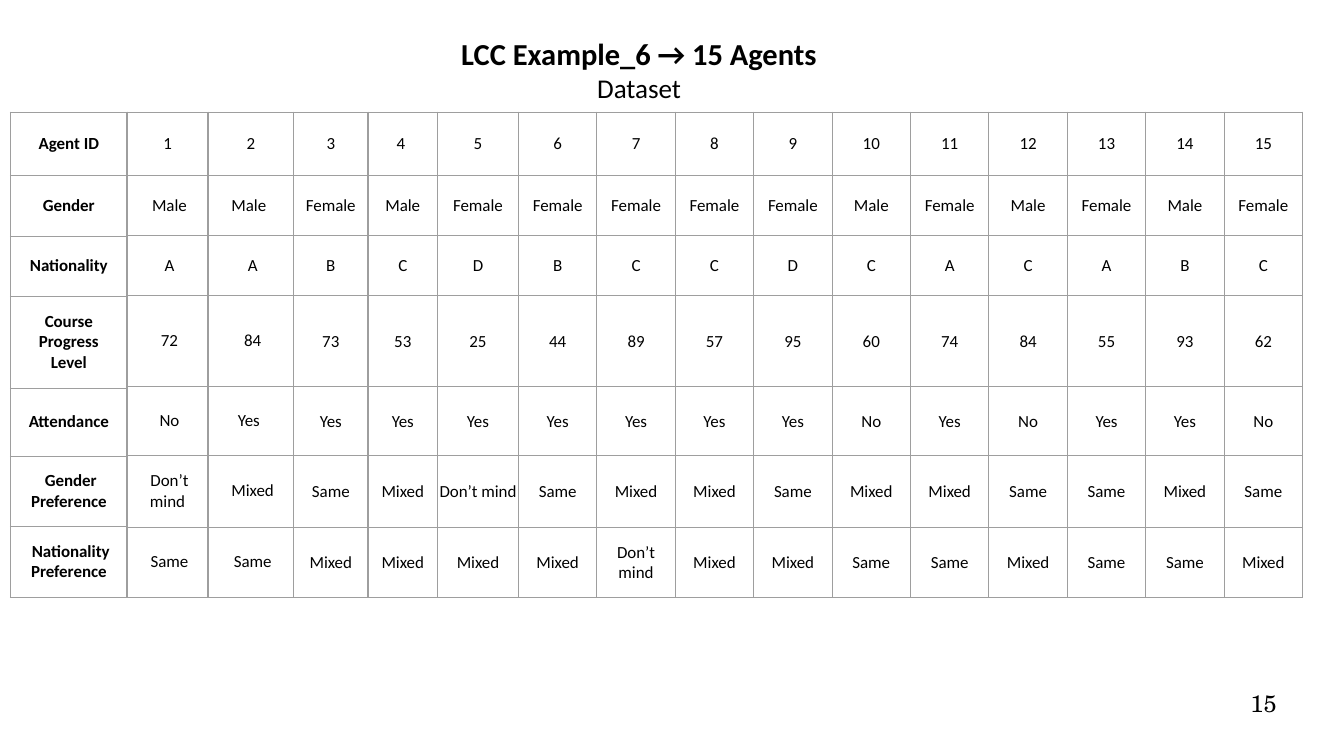
import pptx
import pptx.dml.color
import pptx.enum.text
import pptx.oxml
import pptx.oxml.ns
import pptx.util

Pt = pptx.util.Pt
ALIGN = pptx.enum.text.PP_ALIGN
BLACK = pptx.dml.color.RGBColor(0x00, 0x00, 0x00)
GRID_GREY = pptx.dml.color.RGBColor(0x9E, 0x9E, 0x9E)

TABLE_TOP = 66.2
WIDE, NARROW = (7.2, 7.2, 7.2, 7.2), (0.7, 0.7, 0.7, 0)


def write(paragraph, text, size, font="Calibri", bold=False, align=ALIGN.CENTER):
    paragraph.alignment = align
    run = paragraph.add_run()
    run.text = text
    run.font.size = Pt(size)
    run.font.name = font
    run.font.bold = bold
    run.font.color.rgb = BLACK


def add_grid(slide, left, widths, heights, rows, bold, margins_at):
    grid = slide.shapes.add_table(
        len(heights), len(widths), Pt(left), Pt(TABLE_TOP), Pt(sum(widths)), Pt(sum(heights))
    ).table
    grid.first_row = grid.horz_banding = False
    for column, width in zip(grid.columns, widths):
        column.width = Pt(width)
    for r, (values, height) in enumerate(zip(rows, heights)):
        grid.rows[r].height = Pt(height)
        for c, value in enumerate(values):
            cell = grid.cell(r, c)
            cell.vertical_anchor = pptx.enum.text.MSO_ANCHOR.MIDDLE
            cell.margin_left, cell.margin_right, cell.margin_top, cell.margin_bottom = map(
                Pt, margins_at(r, c)
            )
            write(cell.text_frame.paragraphs[0], value, 10, bold=bold)
            # Borders come before the fill in the cell properties
            properties = cell._tc.get_or_add_tcPr()
            for side in ("lnL", "lnR", "lnT", "lnB"):
                properties.append(pptx.oxml.parse_xml(
                    f'<a:{side} {pptx.oxml.ns.nsdecls("a")} w="{Pt(0.75)}"><a:solidFill>'
                    f'<a:srgbClr val="{GRID_GREY}"/></a:solidFill></a:{side}>'
                ))
            cell.fill.background()


presentation = pptx.Presentation()
presentation.slide_width = Pt(793.44)
presentation.slide_height = Pt(446.4)
slide = presentation.slides.add_slide(presentation.slide_layouts[6])

# Page number
page_number = slide.shapes.add_textbox(Pt(568.8), Pt(406.8), Pt(185), Pt(31)).text_frame
page_number.word_wrap = True
page_number.margin_left = page_number.margin_right = 0
page_number.margin_top = page_number.margin_bottom = 0
write(page_number.paragraphs[0], "15", 14, "TeX Gyre Schola", align=ALIGN.RIGHT)

# Heading
heading = slide.shapes.add_textbox(Pt(20.2), Pt(17.3), Pt(714.2), Pt(49)).text_frame
heading.word_wrap = True
write(heading.paragraphs[0], "LCC Example_6 → 15 Agents", 18, bold=True)
write(heading.add_paragraph(), "Dataset", 16)

# Agents, one column each
agent_rows = [row.split(",") for row in (
    "1,2,3,4 ,5,6,7,8,9,10,11,12,13,14,15",
    " Male,Male ,Female,Male,Female,Female,Female,Female,Female,Male,Female,Male,Female,Male,Female",
    " A, A,B,C,D,B,C,C,D,C,A,C,A,B,C",
    " 72, 84,73,53,25,44,89,57,95,60,74,84,55,93,62",
    " No,Yes ,Yes,Yes,Yes,Yes,Yes,Yes,Yes,No,Yes,No,Yes,Yes,No",
    " Don’t mind, Mixed,Same,Mixed,Don’t mind,Same,Mixed,Mixed,Same,Mixed,Mixed,Same,Same,Mixed,Same",
    " Same, Same,Mixed,Mixed,Mixed,Mixed,Don’t mind,Mixed,Mixed,Same,Same,Mixed,Same,Same,Mixed",
)]
agent_widths = [47.8, 50.5, 44, 41, 47.8] + [46.3] * 10
agent_heights = [37.5, 35.4, 35.4, 53.7, 40.7, 42.5, 41.3]
add_grid(slide, 75, agent_widths, agent_heights, agent_rows, False,
         lambda r, c: WIDE if r == 0 or c < 2 else NARROW)

# Attribute names
attributes = ["Agent ID", "Gender", "Nationality", "Course Progress Level", "Attendance",
              " Gender Preference", " Nationality Preference"]
attribute_heights = [37.5, 35.8, 35.5, 54.3, 40.1, 41.4, 41.9]
add_grid(slide, 6.2, [68.8], attribute_heights, [[name] for name in attributes], True,
         lambda r, c: WIDE)

presentation.save("out.pptx")
